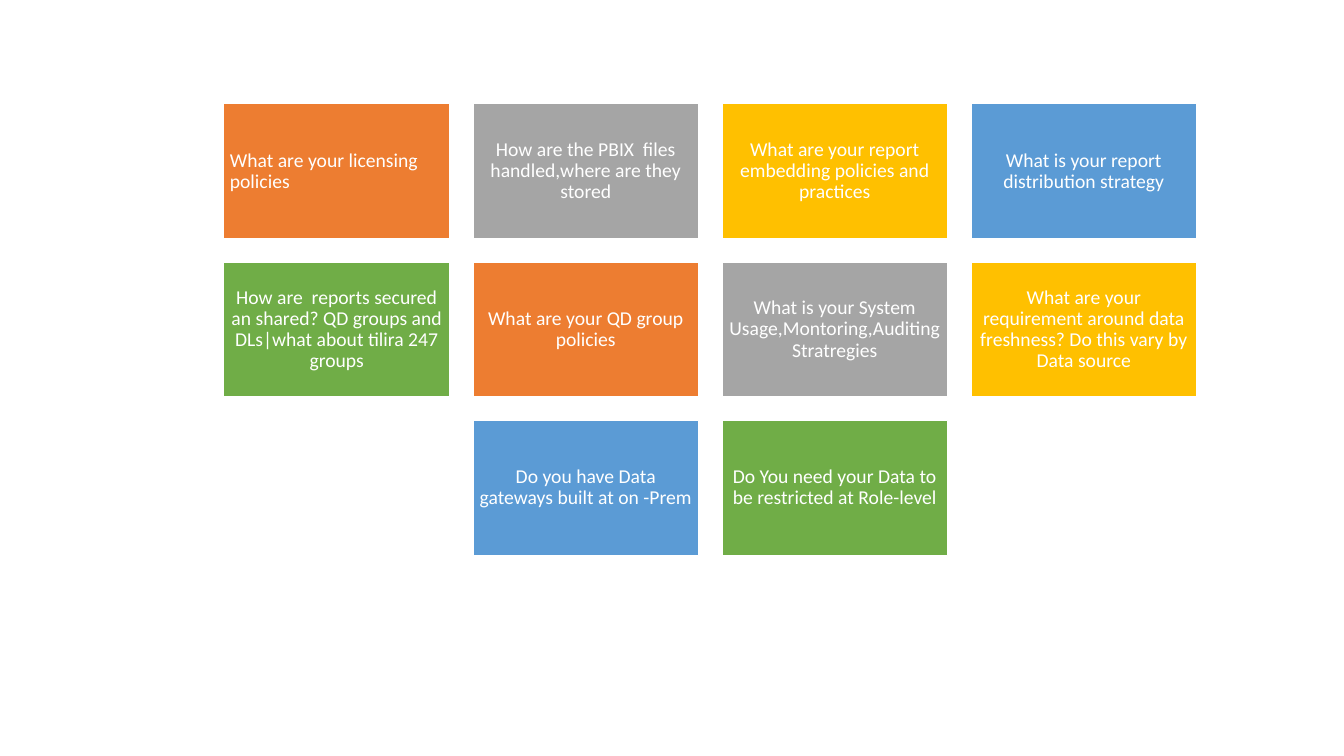
from pptx import Presentation
from pptx import util as u
from pptx.dml.color import RGBColor
from pptx.enum import shapes, text

PX = 9144  # EMU per px, 100 px to the inch
COLORS = {
    "orange": "ED7D31",
    "gray": "A5A5A5",
    "gold": "FFC000",
    "blue": "5B9BD5",
    "green": "70AD47",
    "white": "FFFFFF",
}
CARD_WIDTH, CARD_HEIGHT, GAP = 224, 134, 23
INSET = 6
COLOR_CYCLE = ["orange", "gray", "gold", "blue", "green"]
QUESTION_ROWS = [
    [
        "What are your licensing policies",
        "How are the PBIX  files handled,where are they stored",
        "What are your report embedding policies and practices",
        "What is your report distribution strategy",
    ],
    [
        "How are  reports secured an shared? QD groups and DLs|what about tilira 247 groups",
        "What are your QD group policies",
        "What is your System Usage,Montoring,Auditing Stratregies",
        "What are your requirement around data freshness? Do this vary by Data source",
    ],
    [
        "Do you have Data gateways built at on -Prem",
        "Do You need your Data to be restricted at Role-level",
    ],
]


def px(length):
    return u.Emu(length * PX)


def color(name):
    return RGBColor.from_string(COLORS[name])


def write_text(shape, content, size=14, font="Calibri", ink="white",
               align=text.PP_ALIGN.CENTER, line_spacing=0.9):
    frame = shape.text_frame
    frame.word_wrap = True
    frame.vertical_anchor = text.MSO_ANCHOR.MIDDLE
    frame.margin_left = frame.margin_right = px(INSET)
    frame.margin_top = frame.margin_bottom = px(INSET)
    paragraph = frame.paragraphs[0]
    paragraph.alignment = align
    paragraph.line_spacing = line_spacing
    run = paragraph.add_run()
    run.text = content
    run.font.size = u.Pt(size)
    run.font.name = font
    run.font.color.rgb = color(ink)


def add_card(slide, left, top, question, fill, align):
    card = slide.shapes.add_shape(
        shapes.MSO_SHAPE.RECTANGLE,
        px(left), px(top), px(CARD_WIDTH), px(CARD_HEIGHT))
    card.shadow.inherit = False
    card.fill.solid()
    card.fill.fore_color.rgb = color(fill)
    card.line.color.rgb = color("white")
    card.line.width = u.Pt(1)
    write_text(card, question, align=align)


def add_question_grid(slide, left, top, width):
    """Place rows of cards, each row centred in the given width."""
    card_number = 0
    for row, questions in enumerate(QUESTION_ROWS):
        row_width = len(questions) * (CARD_WIDTH + GAP) - GAP
        row_left = left + (width - row_width) // 2
        for column, question in enumerate(questions):
            # Only the first card is left-aligned
            align = text.PP_ALIGN.CENTER if card_number else text.PP_ALIGN.LEFT
            add_card(slide,
                     row_left + column * (CARD_WIDTH + GAP),
                     top + row * (CARD_HEIGHT + GAP),
                     question,
                     COLOR_CYCLE[card_number % len(COLOR_CYCLE)],
                     align)
            card_number += 1


def main():
    presentation = Presentation()
    presentation.slide_width = u.Inches(13.33)
    presentation.slide_height = u.Inches(7.5)
    blank_layout = presentation.slide_layouts[6]
    slide = presentation.slides.add_slide(blank_layout)
    add_question_grid(slide, left=222, top=103, width=965)
    presentation.save("out.pptx")


if __name__ == "__main__":
    main()
